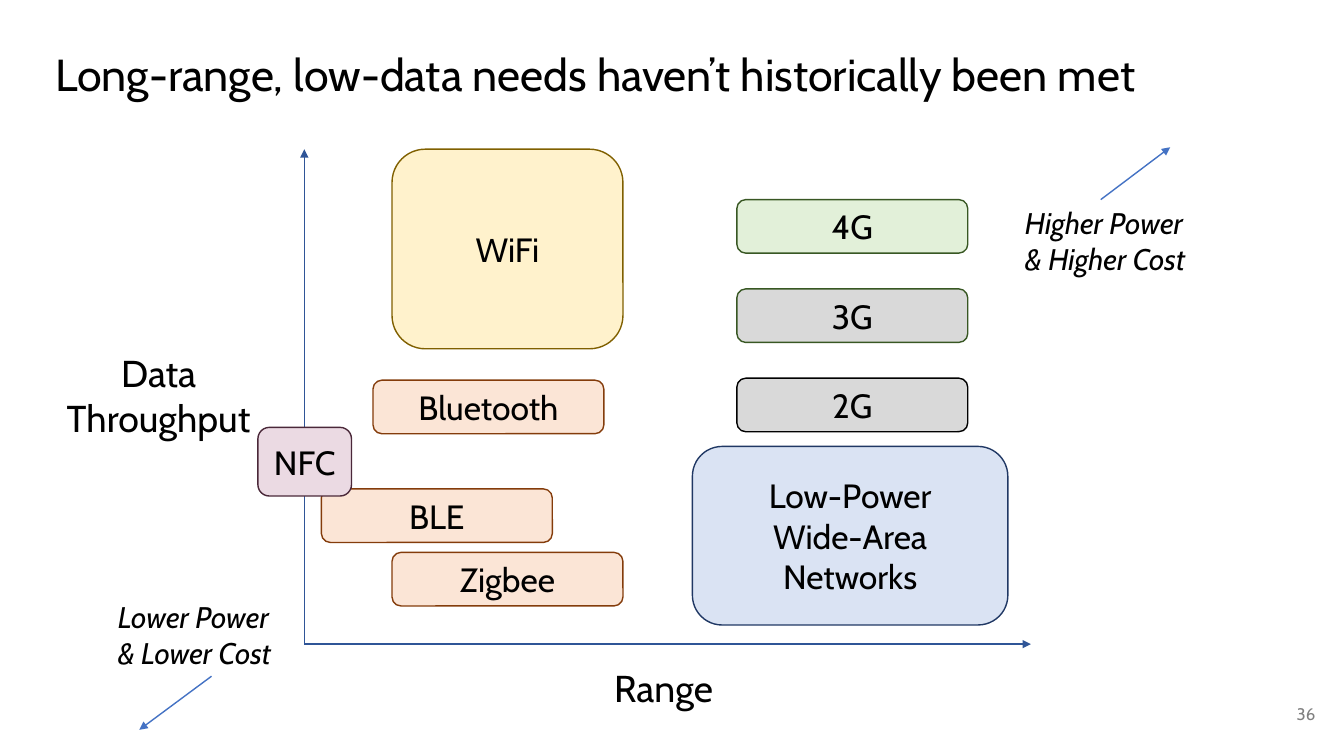
from dataclasses import dataclass

from lxml.etree import SubElement
from pptx import Presentation
from pptx.dml.color import RGBColor
from pptx.enum.shapes import MSO_CONNECTOR as Connector, MSO_SHAPE as Shape
from pptx.enum.text import MSO_ANCHOR as Anchor, PP_ALIGN as Align
from pptx.oxml.ns import qn
from pptx.util import Cm, Pt


@dataclass(frozen=True)
class Theme:
    font: str = "Cabin"
    ink: str = "000000"
    muted: str = "808080"
    axis: str = "2F5597"
    trend: str = "4472C4"
    # Fill and outline of each technology family
    wifi: tuple = ("FFF2CC", "806000")
    short_range: tuple = ("FBE5D6", "843C0B")
    current_cell: tuple = ("E2F0D9", "385723")
    older_cell: tuple = ("D9D9D9", "385723")
    oldest_cell: tuple = ("D9D9D9", "000000")
    low_power: tuple = ("DAE3F3", "203864")
    contact: tuple = ("EBDAE3", "4A2839")
    title_size: float = 32
    axis_size: float = 26.7
    box_size: float = 24
    trend_size: float = 21.3
    number_size: float = 12
    line_width: float = 1


THEME = Theme()
BAND_WIDTH, BAND_HEIGHT = 5.82, 1.35


def color(value):
    return RGBColor.from_string(value)


def write(frame, text, *, size, ink=THEME.ink, align=Align.LEFT,
          anchor=Anchor.TOP, italic=None, spacing=None):
    """Fill a text frame; a newline starts a paragraph, a \\v breaks a line."""
    frame.word_wrap = True
    frame.vertical_anchor = anchor
    frame.text = text
    for paragraph in frame.paragraphs:
        paragraph.alignment = align
        paragraph.line_spacing = spacing
        for run in paragraph.runs:
            run.font.name = THEME.font
            run.font.size = Pt(size)
            run.font.italic = italic
            run.font.color.rgb = color(ink)


def add_label(slide, text, left, top, width, height, *, inset=None, **text_format):
    frame = slide.shapes.add_textbox(
        Cm(left), Cm(top), Cm(width), Cm(height)).text_frame
    if inset is not None:
        frame.margin_left = frame.margin_right = Cm(inset)
        frame.margin_top = frame.margin_bottom = Cm(inset)
    write(frame, text, **text_format)


def add_technology(slide, text, family, left, top,
                   width=BAND_WIDTH, height=BAND_HEIGHT):
    fill, outline = family
    technology = slide.shapes.add_shape(
        Shape.ROUNDED_RECTANGLE, Cm(left), Cm(top), Cm(width), Cm(height))
    technology.shadow.inherit = False
    technology.fill.solid()
    technology.fill.fore_color.rgb = color(fill)
    technology.line.color.rgb = color(outline)
    technology.line.width = Pt(THEME.line_width)
    write(technology.text_frame, text, size=THEME.box_size,
          align=Align.CENTER, anchor=Anchor.MIDDLE)


def add_arrow(slide, start, end, ink):
    arrow = slide.shapes.add_connector(
        Connector.STRAIGHT, *(Cm(length) for length in (*start, *end)))
    arrow.line.color.rgb = color(ink)
    arrow.line.width = Pt(THEME.line_width)
    SubElement(arrow.line._get_or_add_ln(), qn("a:tailEnd"), type="triangle")
    SubElement(arrow._element.spPr, qn("a:effectLst"))


def add_axes(slide):
    origin = (7.67, 16.23)
    for end in ((7.67, 3.76), (25.98, 16.23)):
        add_arrow(slide, origin, end, THEME.axis)
    axis_format = dict(size=THEME.axis_size, align=Align.CENTER)
    add_label(slide, "Data\nThroughput", 1.14, 8.69, 5.72, 2.54, **axis_format)
    add_label(slide, "Range", 14.17, 16.64, 5.11, 1.4, **axis_format)


def add_technologies(slide):
    add_technology(slide, "WiFi", THEME.wifi, 9.88, 3.76, height=5.03)
    for name, left, top in (("Bluetooth", 9.4, 9.58),
                            ("BLE", 8.1, 12.32),
                            ("Zigbee", 9.88, 13.92)):
        add_technology(slide, name, THEME.short_range, left, top)

    generations = (("4G", THEME.current_cell),
                   ("3G", THEME.older_cell),
                   ("2G", THEME.oldest_cell))
    for row, (name, family) in enumerate(generations):
        add_technology(slide, name, family, 18.57, 5.03 + 2.25 * row)

    add_technology(slide, "Low-Power\vWide-Area Networks", THEME.low_power,
                   17.45, 11.25, 7.95, 4.5)
    add_technology(slide, "NFC", THEME.contact, 6.5, 10.77, 2.36, 1.73)


def add_trends(slide):
    trend_format = dict(size=THEME.trend_size, italic=True)
    add_arrow(slide, (5.33, 17.04), (3.51, 18.39), THEME.trend)
    add_label(slide, "Lower Power\v& Lower Cost",
              2.72, 14.96, 5.16, 2.08, **trend_format)
    add_arrow(slide, (27.74, 5.03), (29.49, 3.71), THEME.trend)
    add_label(slide, "Higher Power\v& Higher Cost",
              25.58, 5.03, 5.49, 2.08, **trend_format)


def main():
    deck = Presentation()
    deck.slide_width, deck.slide_height = Cm(33.87), Cm(19.05)
    slide = deck.slides.add_slide(deck.slide_layouts[6])

    add_label(slide, "Long-range, low-data needs haven’t historically been met",
              1.14, 1.09, 31.55, 2.13, inset=0.25,
              size=THEME.title_size, spacing=0.9)
    add_axes(slide)
    add_technologies(slide)
    add_trends(slide)
    add_label(slide, "36", 31.37, 17.27, 2.03, 1.45, inset=0.25,
              size=THEME.number_size, ink=THEME.muted,
              align=Align.RIGHT, anchor=Anchor.MIDDLE)

    deck.save("out.pptx")


if __name__ == "__main__":
    main()
